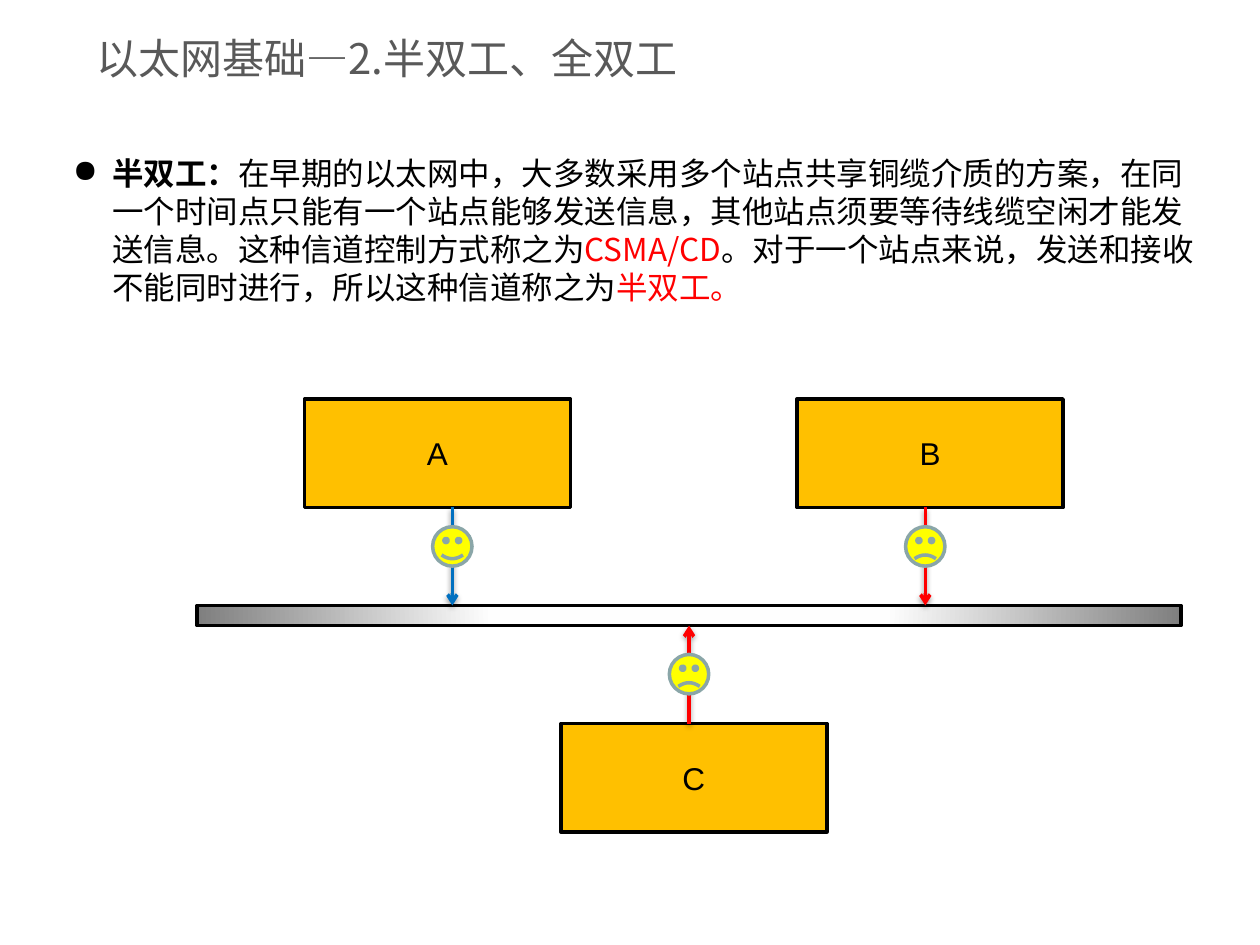
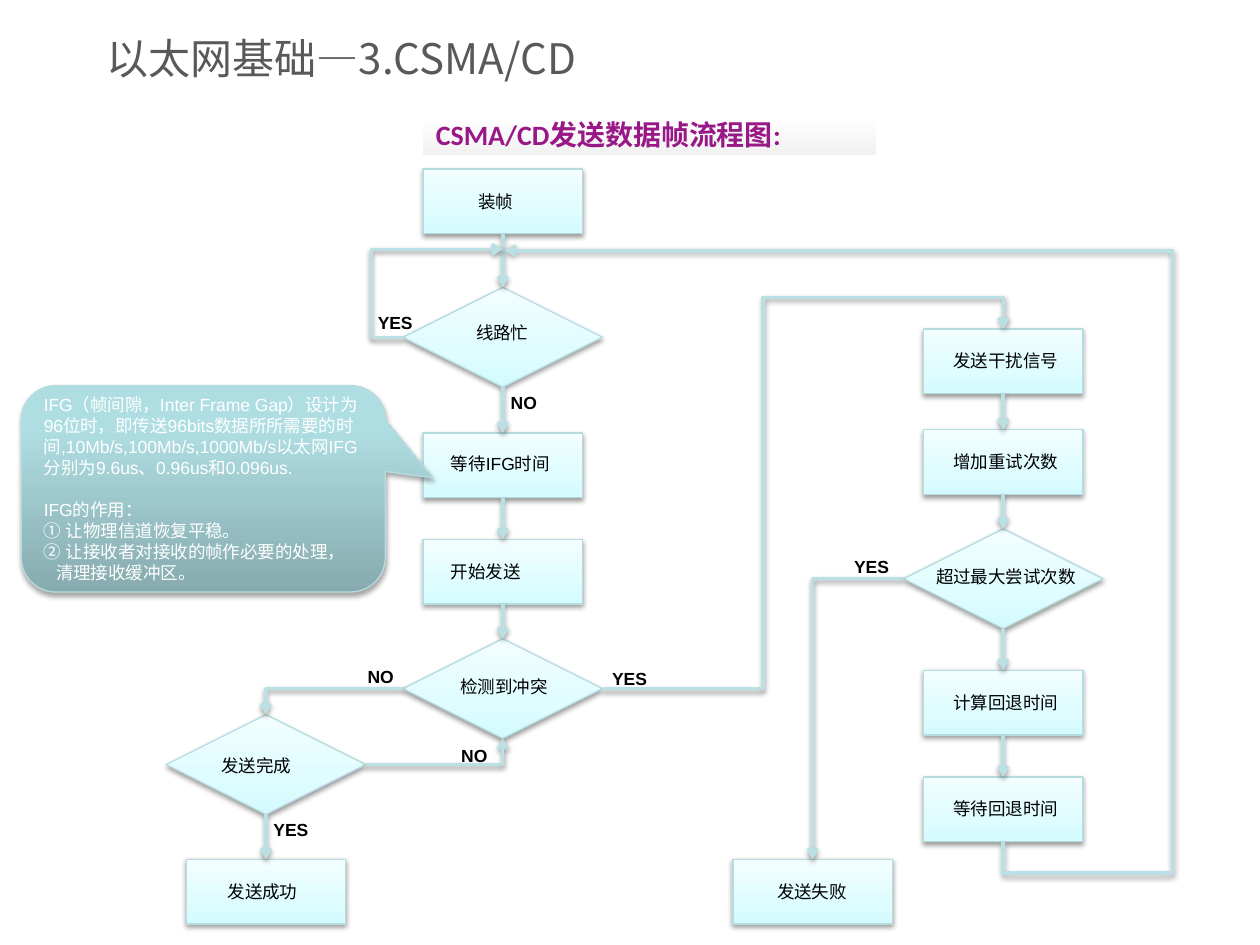
import dataclasses

import lxml.etree
import pptx
import pptx.dml.color
import pptx.enum.shapes
import pptx.enum.text
import pptx.oxml
import pptx.oxml.ns
import pptx.util

Pt = pptx.util.Pt
Kind = pptx.enum.shapes.MSO_SHAPE
Wire = pptx.enum.shapes.MSO_CONNECTOR
Anchor = pptx.enum.text.MSO_ANCHOR
Align = pptx.enum.text.PP_ALIGN
qn = pptx.oxml.ns.qn
SPACE = 'xmlns:a="http://schemas.openxmlformats.org/drawingml/2006/main"'


@dataclasses.dataclass(frozen=True)
class Theme:
    han: str = "Noto Sans CJK SC"
    sans: str = "Arial"
    head: str = "Calibri"
    black: str = "000000"
    white: str = "FFFFFF"
    grey: str = "595959"
    red: str = "FF0000"
    blue: str = "0070C0"
    amber: str = "FFC000"
    yellow: str = "FFFF00"
    steel: str = "8AA6A8"
    plum: str = "991887"
    flow: str = "BBE0E3"
    edge: str = "B6DCDF"
    title: int = 24
    body: int = 18
    sub: int = 16
    small: int = 10
    pale: tuple = ((0, "D3FBFF"), (35, "DFFCFF"), (100, "F2FEFF"))
    teal: tuple = ((0, "87ABAE"), (80, "AFDEE2"), (100, "AFE0E4"))
    mist: tuple = ((9, "FFFFFF"), (100, "F2F2F2"))
    metal: tuple = ((0, "FFFFFF"), (40, "FEFEFE"), (100, "7F7F7F"))
    up: str = '<a:lin ang="16200000" scaled="0"/>'
    down: str = '<a:lin ang="5400000" scaled="0"/>'
    ring: str = ('<a:path path="circle"><a:fillToRect l="50000" t="-80000" '
                 'r="50000" b="180000"/></a:path>')


theme = Theme()


def write(shape, text, face=theme.sans, size=theme.small, color=theme.black, bold=False,
          join=False, align=None, anchor=Anchor.TOP, pitch=None, before=0, left=0, bullet=None):
    """Add a paragraph to the shape, or with join a run to its last paragraph."""
    frame = shape.text_frame
    frame.word_wrap = True
    if not join:
        frame.vertical_anchor = anchor
        para = frame.add_paragraph() if frame.text else frame.paragraphs[0]
        para.alignment = align or Align.LEFT
        para.space_before = Pt(before)
        if pitch:
            para.line_spacing = Pt(pitch)
        props = para._p.get_or_add_pPr()
        props.set("marL", str(Pt(left)))
        if bullet:
            props.set("indent", str(-Pt(left)))
            lxml.etree.SubElement(props, qn("a:buChar")).set("char", bullet)
    run = frame.paragraphs[-1].add_run()
    run.text = text
    font = run.font
    font.name, font.size, font.bold = face, Pt(size), bold
    font.color.rgb = pptx.dml.color.RGBColor.from_string(color)
    lxml.etree.SubElement(run._r.get_or_add_rPr(), qn("a:ea")).set("typeface", face)


def dress(item, fill=None, line=None, width=2.0, course=theme.up, shade=None, arrow=False):
    """Fill with a colour or gradient stops; shade is (opacity %, distance)."""
    if isinstance(fill, str):
        item.fill.solid()
        item.fill.fore_color.rgb = pptx.dml.color.RGBColor.from_string(fill)
    elif fill:
        item.fill.gradient()
        stops = "".join(f'<a:gs pos="{pos * 1000}"><a:srgbClr val="{color}"/></a:gs>'
                        for pos, color in fill)
        blend = pptx.oxml.parse_xml(f'<a:gradFill {SPACE} rotWithShape="1">'
                                    f'<a:gsLst>{stops}</a:gsLst>{course}</a:gradFill>')
        props = item.element.spPr
        props.replace(props.find(qn("a:gradFill")), blend)
    if line:
        item.line.color.rgb = pptx.dml.color.RGBColor.from_string(line)
        item.line.width = Pt(width)
    else:
        item.line.fill.background()
    if arrow:
        tail = lxml.etree.SubElement(item.line._get_or_add_ln(), qn("a:tailEnd"))
        tail.set("type", "arrow")
    cast = ""
    if shade:
        cast = (f'<a:outerShdw blurRad="{Pt(3.1)}" dist="{Pt(shade[1])}" dir="5400000" '
                f'rotWithShape="0"><a:srgbClr val="{theme.black}">'
                f'<a:alpha val="{shade[0] * 1000}"/></a:srgbClr></a:outerShdw>')
    item.element.spPr.append(
        pptx.oxml.parse_xml(f'<a:effectLst {SPACE}>{cast}</a:effectLst>'))


soft = (38, 1.6)
deck = pptx.Presentation()
deck.slide_width, deck.slide_height = Pt(720), Pt(540)
pages = []
for left, text in ((48, "以太网基础—2.半双工、全双工"), (54, "以太网基础—3.CSMA/CD")):
    page = deck.slides.add_slide(deck.slide_layouts[6])
    title = page.shapes.add_textbox(Pt(left), Pt(12), Pt(624), Pt(42))
    write(title, text, face=theme.han, size=theme.title, color=theme.grey, anchor=Anchor.MIDDLE)
    pages.append(page.shapes)

# Slide 1: half duplex on a shared cable
draw = pages[0]
body = draw.add_textbox(Pt(34.5), Pt(84.2), Pt(661), Pt(94.3))
write(body, "半双工：", face=theme.han, size=theme.body, bold=True, pitch=21.75,
      left=22.5, bullet="●")
for text, color in (
    ("在早期的以太网中，大多数采用多个站点共享铜缆介质的方案，在同一个时间点只能有一个站点"
     "能够发送信息，其他站点须要等待线缆空闲才能发送信息。这种信道控制方式称之为", theme.black),
    ("CSMA/CD", theme.red),
    ("。对于一个站点来说，发送和接收不能同时进行，所以这种信道称之为", theme.black),
    ("半双工。", theme.red),
):
    write(body, text, face=theme.han, size=theme.body, color=color, join=True)

cable = draw.add_shape(Kind.RECTANGLE, Pt(112.5), Pt(346), Pt(562.5), Pt(11.5))
dress(cable, theme.metal, theme.black, course=theme.ring)

# name, box left and top, arrow x, start and end, arrow colour, smile
for name, left, top, mid, start, end, color, smile in (
    ("A", 174, 228, 258.5, 290, 346, theme.blue, 0.047),
    ("B", 455.5, 228, 528.75, 290, 346, theme.red, -0.047),
    ("C", 320.5, 413.5, 393.75, 413.5, 357.5, theme.red, -0.047),
):
    host = draw.add_shape(Kind.RECTANGLE, Pt(left), Pt(top), Pt(152), Pt(62))
    dress(host, theme.amber, theme.black)
    write(host, name, size=theme.body, align=Align.CENTER, anchor=Anchor.MIDDLE)
    link = draw.add_connector(Wire.STRAIGHT, Pt(mid), Pt(start), Pt(mid), Pt(end))
    dress(link, line=color, shade=soft, arrow=True)
    face = draw.add_shape(Kind.SMILEY_FACE, Pt(mid - 11.25), Pt(min(start, end) + 11 + 5.5 * (name == "C")),
                          Pt(22.5), Pt(22.5))
    face.adjustments[0] = smile
    dress(face, theme.yellow, theme.steel)

# Slide 2: flow chart for sending a frame
draw = pages[1]
head = draw.add_shape(Kind.RECTANGLE, Pt(242), Pt(63.4), Pt(258.5), Pt(25.2))
dress(head, theme.mist, course=theme.down)
write(head, "CSMA/CD发送数据帧流程图:", face=theme.head, size=theme.sub, color=theme.plum,
      bold=True, before=3.2)

main, side, done, fail = 287.3, 573.3, 152, 464.4
sizes = {Kind.FLOWCHART_PROCESS: (91, 37), Kind.FLOWCHART_DECISION: (114, 57)}
step, test = sizes
# key, kind, middle x, top, label, label left, top and width
nodes = {}
notes = []
for key, kind, mid, top, text, left, high, wide in (
    ("load", step, main, 96.5, "装帧", 266.4, 105.8, 47.5),
    ("busy", test, main, 164.2, "线路忙", 265, 180.7, 47.5),
    ("wait", step, main, 247.5, "等待IFG时间", 250.6, 255.6, 76.3),
    ("start", step, main, 308.2, "开始发送", 250.6, 316.8, 76.3),
    ("clash", test, main, 365, "检测到冲突", 256, 383, 71.3),
    ("done", test, done, 408.4, "发送完成", 119.5, 427.7, 71.3),
    ("good", step, done, 491, "发送成功", 123, 499.7, 59),
    ("jam", step, side, 188, "发送干扰信号", 537.8, 196.6, 76.3),
    ("count", step, side, 245.5, "增加重试次数", 537.8, 254.2, 76.3),
    ("limit", test, side, 302.2, "超过最大尝试次数", 527.8, 319.7, 96.5),
    ("delay", step, side, 383, "计算回退时间", 537.8, 391.7, 76.3),
    ("rest", step, side, 444, "等待回退时间", 537.8, 452.5, 76.3),
    ("lost", step, fail, 491, "发送失败", 437, 499.7, 59),
):
    width, height = sizes[kind]
    node = draw.add_shape(kind, Pt(mid - width / 2), Pt(top), Pt(width), Pt(height))
    dress(node, theme.pale, theme.edge, 0.75, shade=soft)
    nodes[key] = node
    notes.append((text, left, high, wide, False))

for chain in (("load", "busy", "wait", "start", "clash"), ("done", "good"),
              ("jam", "count", "limit", "delay", "rest")):
    for first, last in zip(chain, chain[1:]):
        link = draw.add_connector(Wire.STRAIGHT, 0, 0, 0, 0)
        link.begin_connect(nodes[first], 2)
        link.end_connect(nodes[last], 0)
        dress(link, line=theme.flow, shade=soft, arrow=True)

# start, end, number of the bent preset, its bends
for x1, y1, x2, y2, bend, turns in (
    (230.3, 192.8, main, 142.5, 3, (-0.317,)),
    (230.3, 393.6, done, 408.4, 2, ()),
    (209, 437, main, 422, 2, ()),
    (344.3, 393.6, side, 188, 4, (0.401, 1.088)),
    (516.3, 330.7, fail, 491, 2, ()),
    (side, 481, 288.7, 143.3, 4, (-0.053, -0.34)),
):
    link = draw.add_connector(Wire.ELBOW, Pt(x1), Pt(y1), Pt(x2), Pt(y2))
    shape = link.element.spPr.find(qn("a:prstGeom"))
    shape.set("prst", f"bentConnector{bend}")
    guides = shape.find(qn("a:avLst"))
    for place, turn in enumerate(turns, 1):
        guide = lxml.etree.SubElement(guides, qn("a:gd"))
        guide.set("name", f"adj{place}")
        guide.set("fmla", f"val {round(turn * 100000)}")
    dress(link, line=theme.flow, shade=soft, arrow=True)

# The way back from the last step leaves downwards: a quarter turn of its frame
width, height = y1 - y2, x1 - x2
link.left, link.top = Pt((x1 + x2 - width) / 2), Pt((y1 + y2 - height) / 2)
link.width, link.height = Pt(width), Pt(height)
frame = link.element.spPr.find(qn("a:xfrm"))
frame.set("rot", "5400000")
frame.set("flipH", "1")
frame.set("flipV", "0")

for text, left, top in (("YES", 208.8, 175), ("NO", 284.8, 220.5), ("NO", 203, 377.3),
                        ("YES", 342.7, 378.2), ("NO", 256.5, 422.2), ("YES", 149.2, 464.5),
                        ("YES", 481, 314)):
    notes.append((text, left, top, 47.5, True))
for text, left, top, wide, bold in notes:
    write(draw.add_textbox(Pt(left), Pt(top), Pt(wide), Pt(19.4)), text, bold=bold)

call = draw.add_shape(Kind.ROUNDED_RECTANGULAR_CALLOUT, Pt(12.2), Pt(220.3), Pt(208), Pt(118))
for place, value in enumerate((0.631, -0.053, 0.167)):
    call.adjustments[place] = value
dress(call, theme.teal, theme.edge, 0.75, shade=(35, 1.8))
for text, before, left in (
    ("IFG（帧间隙，Inter Frame Gap）设计为96位时，即传送96bits数据所所需要的时间"
     ",10Mb/s,100Mb/s,1000Mb/s以太网IFG分别为9.6us、0.96us和0.096us.", 0, 0),
    ("IFG的作用：", 12, 0),
    ("① 让物理信道恢复平稳。", 0, 0),
    ("② 让接收者对接收的帧作必要的处理，", 0, 0),
    ("清理接收缓冲区。", 0, 7),
):
    write(call, text, color=theme.white, anchor=Anchor.MIDDLE, pitch=12, before=before, left=left)

deck.save("out.pptx")
